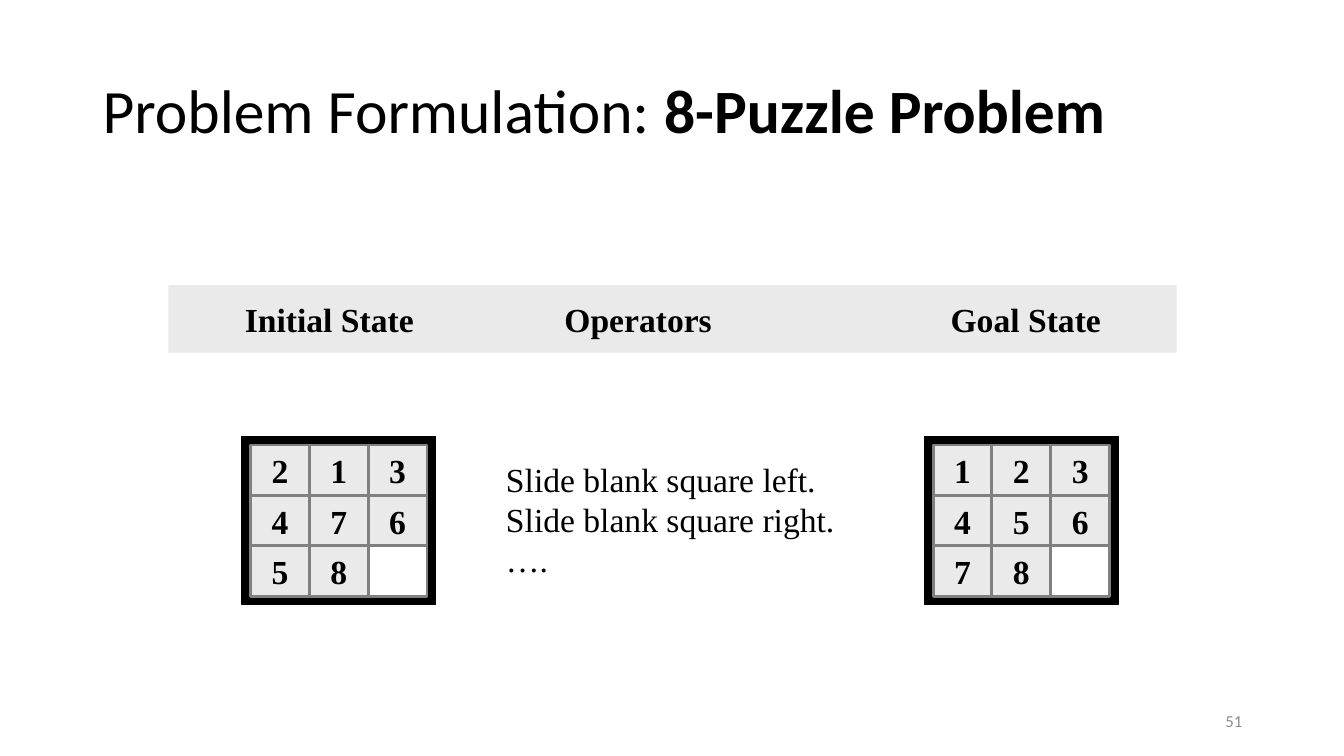
from pptx import Presentation
from pptx.dml.color import RGBColor
from pptx.enum.shapes import MSO_SHAPE
from pptx.enum.text import MSO_ANCHOR, PP_ALIGN
from pptx.util import Inches, Pt

BLACK, WHITE, PALE, GRAY, NUMBER_GRAY = "000000", "FFFFFF", "EAEAEA", "808080", "8C8C8C"
TITLE = {"name": "Calibri", "size": Pt(44)}
NUMBER = {"name": "Calibri", "size": Pt(12)}
BODY = {"name": "Times New Roman", "size": Pt(24)}
BOLD = BODY | {"bold": True}


def color(hex_string):
    """Turn a hex string into a colour."""
    return RGBColor.from_string(hex_string)


def add_run(paragraph, text, font_values, font_color=BLACK):
    """Append a formatted run to a paragraph."""
    run = paragraph.add_run()
    run.text = text
    for name, value in font_values.items():
        setattr(run.font, name, value)
    run.font.color.rgb = color(font_color)


def add_text(slide, box, lines, font_values, font_color=BLACK, wrap=False,
             anchor=MSO_ANCHOR.TOP, **paragraph_values):
    """Place a text box with one paragraph per line and return its frame."""
    frame = slide.shapes.add_textbox(*map(Inches, box)).text_frame
    frame.word_wrap = wrap
    frame.vertical_anchor = anchor
    for index, line in enumerate(lines):
        paragraph = frame.paragraphs[0] if index == 0 else frame.add_paragraph()
        for name, value in paragraph_values.items():
            setattr(paragraph, name, value)
        add_run(paragraph, line, font_values, font_color)
    return frame


def add_rectangle(shapes, box, fill, line=None, width=0.75):
    """Place a flat rectangle with an optional outline."""
    shape = shapes.add_shape(MSO_SHAPE.RECTANGLE, *map(Inches, box))
    shape.shadow.inherit = False
    shape.fill.solid()
    shape.fill.fore_color.rgb = color(fill)
    if line:
        shape.line.color.rgb = color(line)
        shape.line.width = Pt(width)
    else:
        shape.line.fill.background()
    return shape


def add_title(slide, box):
    """Write the title with its bold ending."""
    frame = add_text(slide, box, ["Problem Formulation: "], TITLE, wrap=True,
                     anchor=MSO_ANCHOR.MIDDLE, line_spacing=0.9)
    add_run(frame.paragraphs[0], "8-Puzzle Problem", TITLE | {"bold": True})


def add_header(slide, box):
    """Draw the header band and its three column headings."""
    left, top, _, _ = box
    add_rectangle(slide.shapes, box, PALE)
    headings = [("Initial State", 0.66, 1.88), ("Operators", 3.83, 1.66), ("Goal State", 7.66, 1.69)]
    for heading, offset, width in headings:
        add_text(slide, (left + offset, top + 0.09, width, 0.5), [heading], BOLD)


def add_puzzle(slide, box, rows):
    """Draw a framed puzzle board, leaving a space as the blank square."""
    left, top, width, height = box
    margin = 0.085
    column_step = (width - 2 * margin) / 3
    row_step = (height - 2 * margin) / 3
    shapes = slide.shapes.add_group_shape().shapes
    add_rectangle(shapes, box, BLACK, BLACK)
    for row, digits in enumerate(rows):
        for column, digit in enumerate(digits):
            blank = digit == " "
            place = (left + margin + column * column_step, top + margin + row * row_step,
                     column_step, row_step)
            tile = add_rectangle(shapes, place, WHITE if blank else PALE, GRAY, 2)
            if not blank:
                frame = tile.text_frame
                frame.vertical_anchor = MSO_ANCHOR.MIDDLE
                frame.paragraphs[0].alignment = PP_ALIGN.CENTER
                add_run(frame.paragraphs[0], digit, BOLD)


def main():
    """Build the slide and save it."""
    presentation = Presentation()
    presentation.slide_width, presentation.slide_height = Inches(13.33), Inches(7.5)
    slide = presentation.slides.add_slide(presentation.slide_layouts[6])
    add_title(slide, (0.92, 0.4, 11.5, 1.45))
    add_text(slide, (9.42, 6.95, 3, 0.4), ["51"], NUMBER, NUMBER_GRAY, wrap=True,
             anchor=MSO_ANCHOR.MIDDLE, alignment=PP_ALIGN.RIGHT)
    add_header(slide, (1.67, 2.83, 10, 0.67))
    add_puzzle(slide, (2.4, 4.33, 1.92, 1.67), ["213", "476", "58 "])
    add_text(slide, (4.92, 4.5, 3.49, 1.31),
             ["Slide blank square left.", "Slide blank square right.", "…."], BODY)
    add_puzzle(slide, (9.17, 4.33, 1.92, 1.67), ["123", "456", "78 "])
    presentation.save("out.pptx")


if __name__ == "__main__":
    main()
